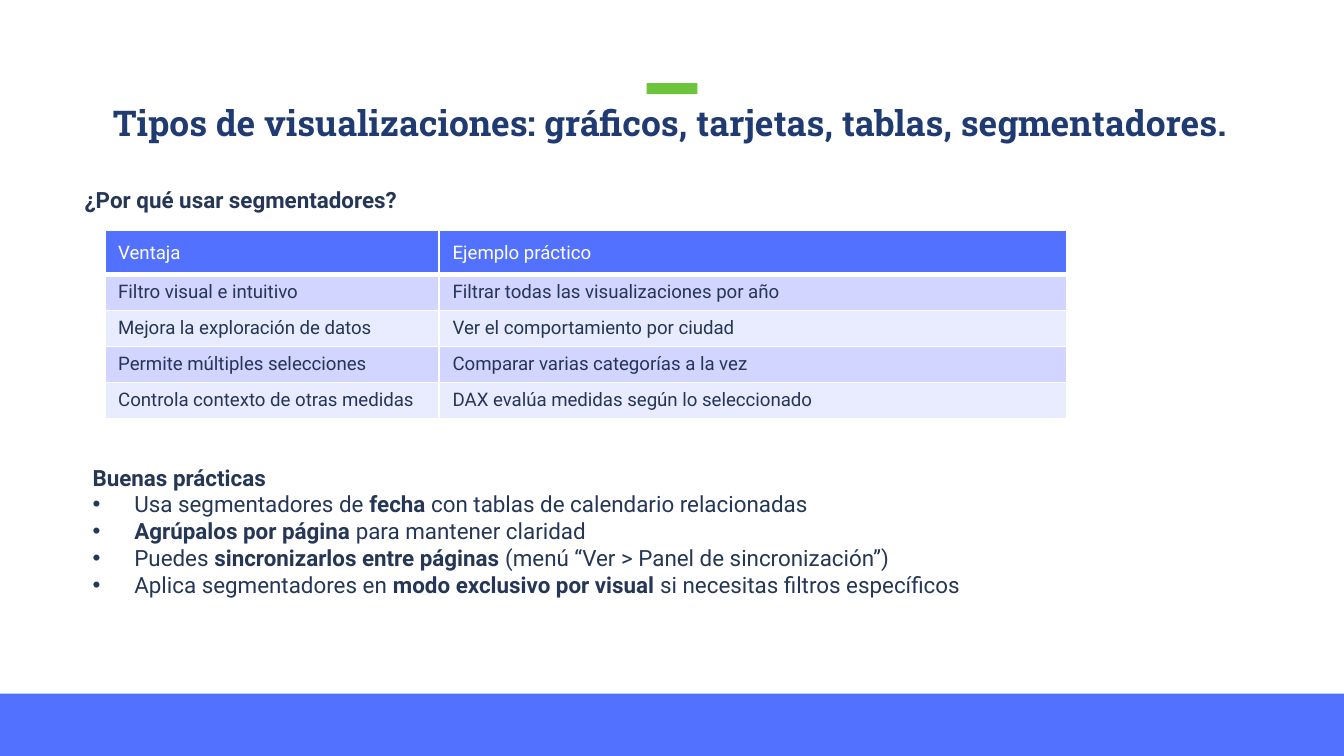
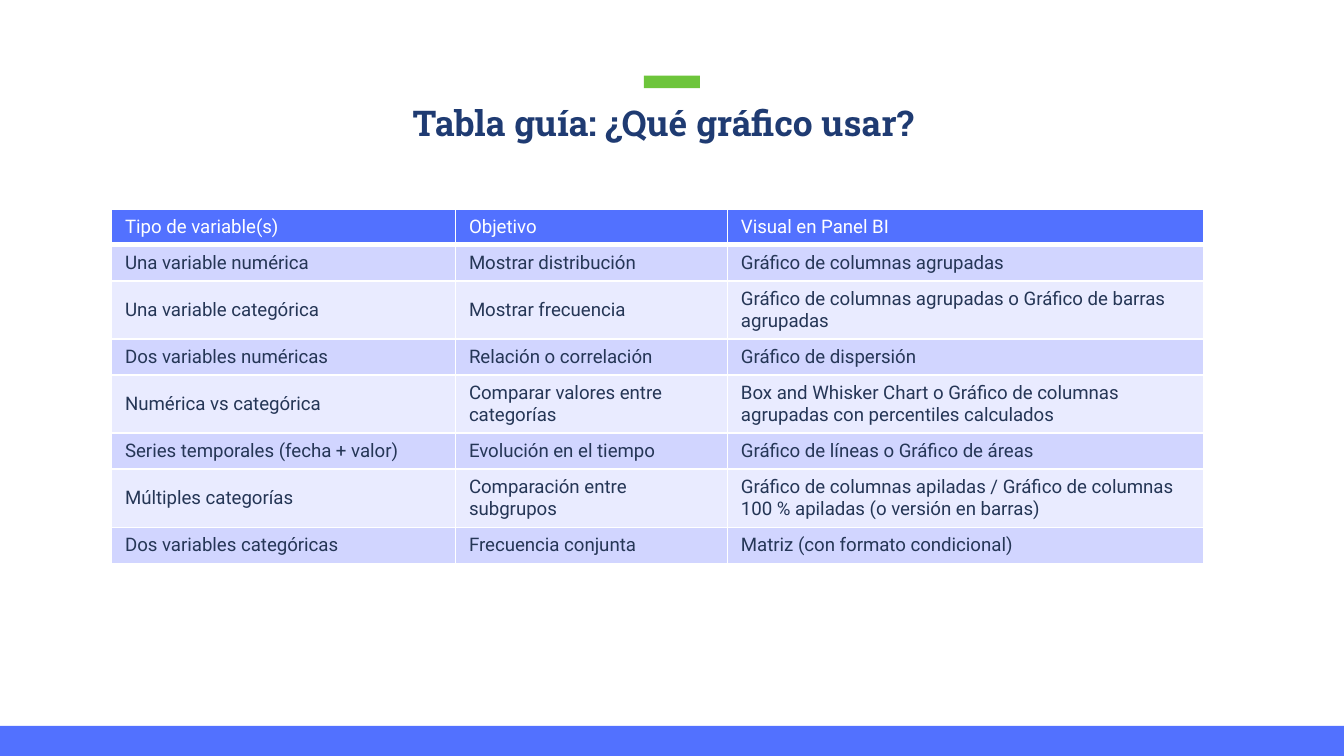
from lxml import etree
from pptx import Presentation
from pptx.dml.color import RGBColor
from pptx.enum import shapes, text
from pptx.oxml import ns
from pptx.util import Cm, Pt

WIDTH, HEIGHT = 25.4, 14.29
BLUE, GREEN, NAVY, INK, WHITE = "5271FF", "6DC53B", "1F3B72", "253656", "FFFFFF"
BANDS = ("D1D5FF", "E9EBFF")
BODY_FONT, TITLE_FONT = "Roboto", "Roboto Slab"
ONE_LINE, TWO_LINES = 0.68, 1.1

SLICERS = {
    "title": "Tipos de visualizaciones: gráficos, tarjetas, tablas, segmentadores.",
    "title_box": (1.98, 2.03, 21.36, 0.69),
    "accent": (1.57, 0.96, 0.21),
    "footer_top": 13.11,
    "table_at": (1.98, 4.36),
    "columns": (6.32, 11.86),
    "heights": [0.83] + [ONE_LINE] * 4,
    "rows": [
        ("Ventaja", "Ejemplo práctico"),
        ("Filtro visual e intuitivo", "Filtrar todas las visualizaciones por año"),
        ("Mejora la exploración de datos", "Ver el comportamiento por ciudad"),
        ("Permite múltiples selecciones", "Comparar varias categorías a la vez"),
        ("Controla contexto de otras medidas", "DAX evalúa medidas según lo seleccionado"),
    ],
    "notes": [
        ((1.35, 3.4, 22.4, 0.76), ["*¿Por qué usar segmentadores?*"]),
        ((1.5, 8.64, 22.4, 3.33), [
            "*Buenas prácticas*",
            "Usa segmentadores de *fecha* con tablas de calendario relacionadas",
            "*Agrúpalos por página* para mantener claridad",
            "Puedes *sincronizarlos entre páginas* (menú “Ver > Panel de sincronización”)",
            "Aplica segmentadores en *modo exclusivo por visual* si necesitas filtros específicos",
        ]),
    ],
}

CHART_GUIDE = {
    "title": "Tabla guía: ¿Qué gráfico usar?",
    "title_box": (6.3, 2.03, 12.47, 0.69),
    "accent": (1.43, 1.06, 0.24),
    "footer_top": 13.72,
    "table_at": (2.11, 3.95),
    "columns": (6.5, 5.14, 9.0),
    "heights": [ONE_LINE, ONE_LINE] + [TWO_LINES, ONE_LINE] * 3,
    "rows": [
        ("Tipo de variable(s)", "Objetivo", "Visual en Panel BI"),
        ("Una variable numérica", "Mostrar distribución", "Gráfico de columnas agrupadas"),
        ("Una variable categórica", "Mostrar frecuencia",
         "Gráfico de columnas agrupadas o Gráfico de barras agrupadas"),
        ("Dos variables numéricas", "Relación o correlación", "Gráfico de dispersión"),
        ("Numérica vs categórica", "Comparar valores entre categorías",
         "Box and Whisker Chart o Gráfico de columnas agrupadas con percentiles calculados"),
        ("Series temporales (fecha + valor)", "Evolución en el tiempo",
         "Gráfico de líneas o Gráfico de áreas"),
        ("Múltiples categorías", "Comparación entre subgrupos",
         "Gráfico de columnas apiladas / Gráfico de columnas 100 % apiladas (o versión en barras)"),
        ("Dos variables categóricas", "Frecuencia conjunta", "Matriz (con formato condicional)"),
    ],
    "notes": [],
}


def color(value):
    return RGBColor.from_string(value)


def style(span, size, ink, bold=False, font=BODY_FONT):
    span.font.name, span.font.size, span.font.bold = font, Pt(size), bold
    span.font.color.rgb = color(ink)


def add_block(page, left, top, width, height, fill):
    block = page.shapes.add_shape(
        shapes.MSO_SHAPE.RECTANGLE, Cm(left), Cm(top), Cm(width), Cm(height))
    block.shadow.inherit = False
    block.fill.solid()
    block.fill.fore_color.rgb = color(fill)
    block.line.fill.background()


def set_title(page, words, place):
    title = page.shapes.title
    title.left, title.top, title.width, title.height = map(Cm, place)
    frame = title.text_frame
    frame.text = words
    frame.word_wrap = True
    frame.auto_size = text.MSO_AUTO_SIZE.NONE
    frame.vertical_anchor = text.MSO_ANCHOR.TOP
    frame.margin_left = frame.margin_top = frame.margin_right = frame.margin_bottom = 0
    para = frame.paragraphs[0]
    para.alignment = text.PP_ALIGN.CENTER
    para.line_spacing = Pt(19.3)
    para.space_before = Pt(0)
    style(para.runs[0], 19, NAVY, True, TITLE_FONT)


def add_bullet(para):
    properties = para._p.get_or_add_pPr()
    properties.set("marL", str(Cm(0.79)))
    properties.set("indent", str(-Cm(0.79)))
    etree.SubElement(properties, ns.qn("a:buFont"), typeface="Arial")
    etree.SubElement(properties, ns.qn("a:buChar"), char="•")


def add_notes(page, place, lines):
    frame = page.shapes.add_textbox(*map(Cm, place)).text_frame
    frame.word_wrap = True
    for index, line in enumerate(lines):
        para = frame.add_paragraph() if index else frame.paragraphs[0]
        if index:
            add_bullet(para)
        for part, words in enumerate(line.split("*")):
            if words:
                span = para.add_run()
                span.text = words
                style(span, 12, INK, bold=part % 2 == 1)


def set_borders(cell, bottom):
    properties = cell._tc.get_or_add_tcPr()
    for index, (side, points) in enumerate(zip("LRTB", (1, 1, 1, bottom))):
        edge = etree.Element(ns.qn(f"a:ln{side}"), w=str(Pt(points)))
        fill = etree.SubElement(edge, ns.qn("a:solidFill"))
        etree.SubElement(fill, ns.qn("a:srgbClr"), val=WHITE)
        properties.insert(index, edge)


def add_grid(page, place, columns, heights, rows):
    table = page.shapes.add_table(
        len(rows), len(columns), *map(Cm, place), Cm(sum(columns)), Cm(sum(heights))).table
    for column, width in zip(table.columns, columns):
        column.width = Cm(width)
    for index, (row, height, entries) in enumerate(zip(table.rows, heights, rows)):
        row.height = Cm(height)
        for cell, words in zip(row.cells, entries):
            cell.text = words
            cell.vertical_anchor = text.MSO_ANCHOR.MIDDLE
            cell.fill.solid()
            cell.fill.fore_color.rgb = color(BANDS[(index - 1) % 2] if index else BLUE)
            set_borders(cell, 1 if index else 3)
            style(cell.text_frame.paragraphs[0].runs[0], 10, INK if index else WHITE)


def build_page(deck, content):
    page = deck.slides.add_slide(deck.slide_layouts[5])
    top, width, height = content["accent"]
    add_block(page, (WIDTH - width) / 2, top, width, height, GREEN)
    footer_top = content["footer_top"]
    add_block(page, 0, footer_top, WIDTH, HEIGHT - footer_top, BLUE)
    set_title(page, content["title"], content["title_box"])
    add_grid(page, content["table_at"], content["columns"], content["heights"], content["rows"])
    for place, lines in content["notes"]:
        add_notes(page, place, lines)


def main():
    """Build the two slides about report visuals and save them."""
    deck = Presentation()
    deck.slide_width, deck.slide_height = Cm(WIDTH), Cm(HEIGHT)
    for content in (SLICERS, CHART_GUIDE):
        build_page(deck, content)
    deck.save("out.pptx")


if __name__ == "__main__":
    main()
